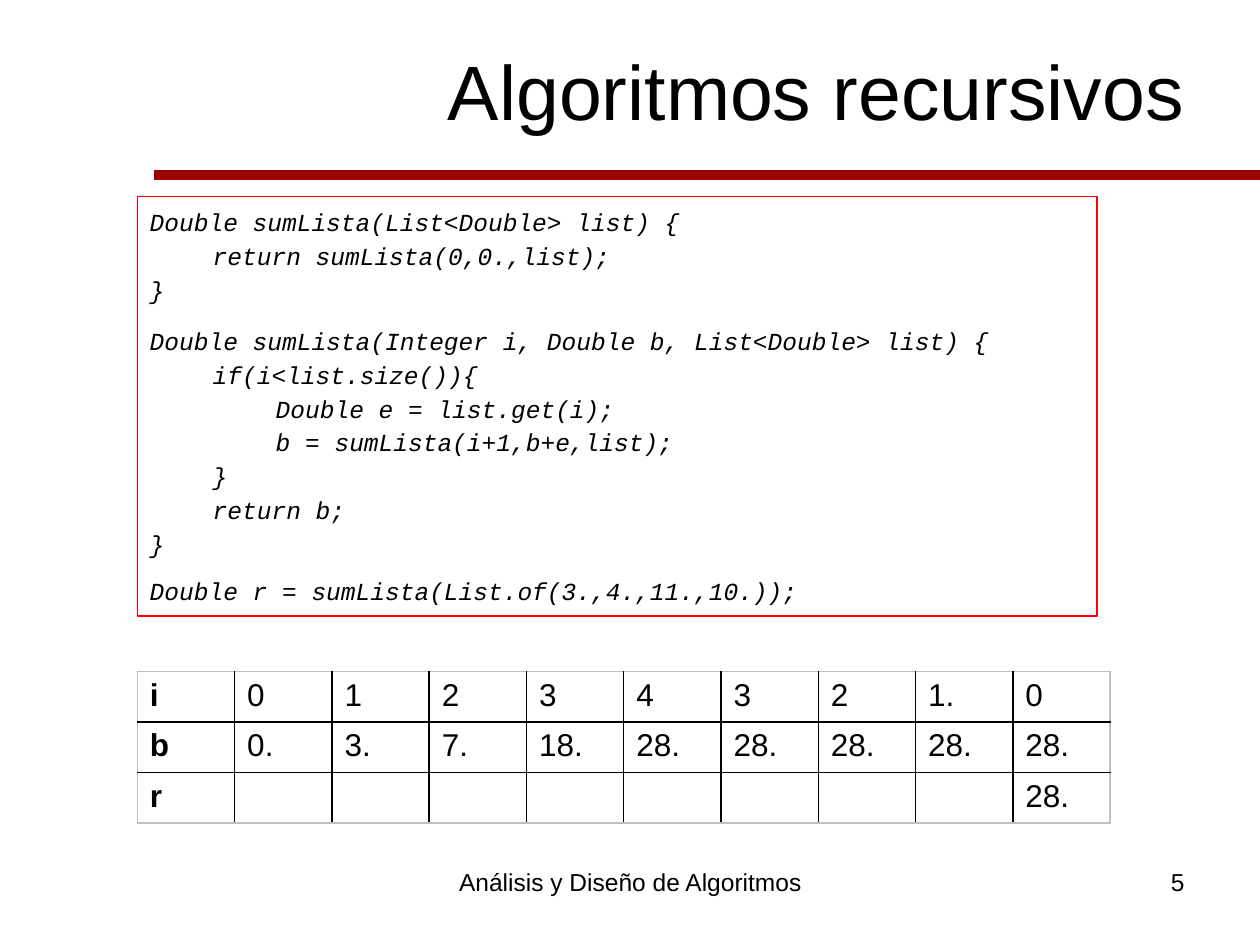
from pptx import Presentation
from pptx.dml.color import RGBColor
from pptx.enum.shapes import MSO_CONNECTOR, MSO_SHAPE
from pptx.enum.text import MSO_ANCHOR, MSO_AUTO_SIZE, PP_ALIGN
from pptx.oxml.ns import qn
from pptx.util import Pt
from lxml.etree import SubElement

INK = {"text": "000000", "rule": "990000", "frame": "FF0000",
       "grid": "000000", "edge": "C0C0C0"}
SANS, MONO = "Arial", "Courier New"

TITLE = "Algoritmos recursivos"
FOOT = "Análisis y Diseño de Algoritmos"
PAGE = "5"
CODE = [
    """Double sumLista(List<Double> list) {
\treturn sumLista(0,0.,list);
}""",
    """Double sumLista(Integer i, Double b, List<Double> list) {
\tif(i<list.size()){
\t\tDouble e = list.get(i);
\t\tb = sumLista(i+1,b+e,list);
\t}
\treturn b;
}""",
    "Double r = sumLista(List.of(3.,4.,11.,10.));",
]
TRACE = [
    ["i", "0", "1", "2", "3", "4", "3", "2", "1.", "0"],
    ["b", "0.", "3.", "7.", "18.", "28.", "28.", "28.", "28.", "28."],
    ["r", "", "", "", "", "", "", "", "", "28."],
]
LEFT = 78.5
COL, ROW = 55.6, 28.8


def color(name):
    return RGBColor.from_string(INK[name])


def write(frame, paras, size=14, font=SANS, bold=False, italic=False,
          align=PP_ALIGN.LEFT, anchor=MSO_ANCHOR.TOP):
    frame.word_wrap = True
    frame.vertical_anchor = anchor
    for n, text in enumerate(paras):
        para = frame.add_paragraph() if n else frame.paragraphs[0]
        para.text = text
        para.alignment = align
        for run in para.runs:
            face = run.font
            face.size, face.name = Pt(size), font
            face.bold, face.italic = bold, italic
            face.color.rgb = color("text")


def label(slide, text, box, **form):
    shape = slide.shapes.add_textbox(*map(Pt, box))
    write(shape.text_frame, [text], **form)


def add_rule(slide):
    line = slide.shapes.add_connector(
        MSO_CONNECTOR.STRAIGHT, Pt(88), Pt(100), Pt(720), Pt(100))
    line.line.color.rgb = color("rule")
    line.line.width = Pt(6)
    SubElement(line._element.spPr, qn("a:effectLst"))


def add_code(slide):
    box = slide.shapes.add_shape(
        MSO_SHAPE.RECTANGLE, Pt(LEFT), Pt(112.4), Pt(548.5), Pt(239.6))
    box.shadow.inherit = False
    box.fill.background()
    box.line.color.rgb = color("frame")
    box.line.width = Pt(0.75)
    frame = box.text_frame
    write(frame, CODE, font=MONO, italic=True)
    frame.auto_size = MSO_AUTO_SIZE.SHAPE_TO_FIT_TEXT
    for para in frame.paragraphs[:-1]:
        para.line_spacing = 1.15
        para.space_after = Pt(10)


def border(cell, outer):
    """Draw all four sides, with the edge colour on the sides in outer."""
    props = cell._tc.get_or_add_tcPr()
    for side in "LRTB":
        line = SubElement(props, qn("a:ln" + side), w=str(Pt(1)))
        fill = SubElement(line, qn("a:solidFill"))
        name = "edge" if side in outer else "grid"
        SubElement(fill, qn("a:srgbClr"), val=INK[name])


def add_trace(slide):
    rows, cols = len(TRACE), len(TRACE[0])
    table = slide.shapes.add_table(
        rows, cols, Pt(LEFT), Pt(383.8), Pt(COL * cols), Pt(ROW * rows)).table
    table.first_row = table.horz_banding = False
    for col in table.columns:
        col.width = Pt(COL)
    for r, row in enumerate(TRACE):
        table.rows[r].height = Pt(ROW)
        for c, text in enumerate(row):
            cell = table.cell(r, c)
            ends = {"L": c == 0, "R": c == cols - 1,
                    "T": r == 0, "B": r == rows - 1}
            border(cell, [side for side in ends if ends[side]])
            cell.fill.background()
            write(cell.text_frame, [text], size=18, bold=c == 0)


def main():
    deck = Presentation()
    deck.slide_width, deck.slide_height = Pt(720), Pt(540)
    slide = deck.slides.add_slide(deck.slide_layouts[6])
    add_rule(slide)
    label(slide, TITLE, (121.7, 15.1, 562.3, 72.7), size=44,
          align=PP_ALIGN.RIGHT, anchor=MSO_ANCHOR.MIDDLE)
    label(slide, FOOT, (246.2, 491.8, 228.2, 37.4), align=PP_ALIGN.CENTER)
    label(slide, PAGE, (516.2, 491.8, 167.8, 37.4), align=PP_ALIGN.RIGHT)
    add_code(slide)
    add_trace(slide)
    deck.save("out.pptx")


if __name__ == "__main__":
    main()
